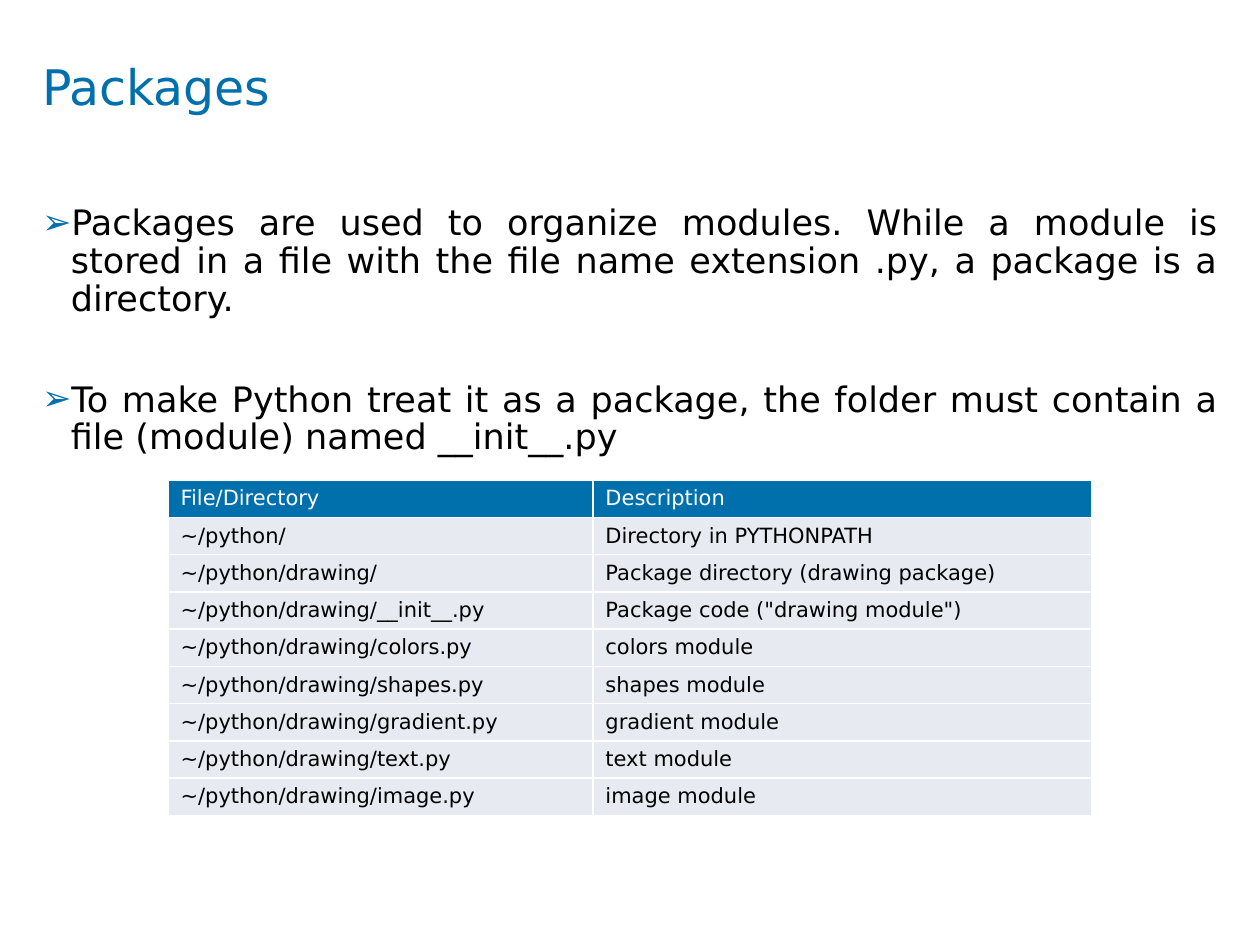
from lxml.etree import SubElement
from pptx import Presentation
from pptx.dml.color import RGBColor
from pptx.enum.text import MSO_ANCHOR as Anchor, MSO_AUTO_SIZE as AutoSize, PP_ALIGN as Align
from pptx.oxml.ns import qn
from pptx.util import Pt

BLUE = RGBColor(0x00, 0x70, 0xAD)
BLACK = RGBColor(0x00, 0x00, 0x00)
WHITE = RGBColor(0xFF, 0xFF, 0xFF)
PALE = RGBColor(0xE7, 0xEB, 0xF1)
FONT = "DejaVu Sans"

POINTS = [
    "Packages are used to organize modules. While a module is stored in a file "
    "with the file name extension .py, a package is a directory.",
    "To make Python treat it as a package, the folder must contain a file "
    "(module) named __init__.py",
]
FILES = [
    ("File/Directory", "Description"),
    ("~/python/", "Directory in PYTHONPATH"),
    ("~/python/drawing/", "Package directory (drawing package)"),
    ("~/python/drawing/__init__.py", 'Package code ("drawing module")'),
] + [
    (f"~/python/drawing/{name}.py", f"{name} module")
    for name in ("colors", "shapes", "gradient", "text", "image")
]


def apply(target, formats):
    """Set every attribute of the target from the format values."""
    for name, value in formats.items():
        setattr(target, name, value)


def write(para, text, size, color):
    """Add one formatted span to the paragraph."""
    span = para.add_run()
    span.text = text
    apply(span.font, {"name": FONT, "size": Pt(size), "bold": False})
    span.font.color.rgb = color


def place(holder, box):
    """Move a placeholder into its box and clear its insets."""
    left, top, width, height = map(Pt, box)
    apply(holder, {"left": left, "top": top, "width": width, "height": height})
    apply(holder.text_frame, {
        "margin_left": 0, "margin_top": 0, "margin_right": 0, "margin_bottom": 0,
        "word_wrap": True, "auto_size": AutoSize.NONE, "vertical_anchor": Anchor.TOP,
    })
    return holder.text_frame


def add_bullet(para, symbol, indent):
    """Give the paragraph a hanging coloured bullet."""
    props = para._p.get_or_add_pPr()
    props.set("marL", str(Pt(indent)))
    props.set("indent", str(-Pt(indent)))
    color = SubElement(props, qn("a:buClr"))
    SubElement(color, qn("a:srgbClr"), val=str(BLUE))
    SubElement(props, qn("a:buFont"), typeface=FONT)
    SubElement(props, qn("a:buChar"), char=symbol)


def fill_title(holder, box, text):
    """Write the slide title."""
    para = place(holder, box).paragraphs[0]
    para.alignment = Align.LEFT
    write(para, text, 28, BLUE)


def fill_points(holder, box, points):
    """Write the justified bullet list."""
    frame = place(holder, box)
    for index, text in enumerate(points):
        para = frame.add_paragraph() if index else frame.paragraphs[0]
        apply(para, {
            "alignment": Align.JUSTIFY, "line_spacing": 0.9,
            "space_before": Pt(36 if index else 0), "space_after": Pt(0),
        })
        add_bullet(para, "➢", 16.5)
        write(para, text, 20, BLACK)


def add_borders(cell, color, width):
    """Draw a solid line on all four sides of the cell."""
    props = cell._tc.get_or_add_tcPr()
    for index, side in enumerate(("lnL", "lnR", "lnT", "lnB")):
        line = props.makeelement(qn(f"a:{side}"), {"w": str(Pt(width))})
        fill = SubElement(line, qn("a:solidFill"))
        SubElement(fill, qn("a:srgbClr"), val=str(color))
        props.insert(index, line)


def add_file_table(page, box, rows, widths):
    """Build the table of files with a coloured header row."""
    table = page.shapes.add_table(len(rows), len(widths), *map(Pt, box)).table
    table.horz_banding = False
    for column, width in zip(table.columns, widths):
        column.width = Pt(width)
    for index, texts in enumerate(rows):
        table.rows[index].height = Pt(box[3] / len(rows))
        fill, color, anchor = (
            (PALE, BLACK, Anchor.TOP) if index else (BLUE, WHITE, Anchor.MIDDLE)
        )
        for cell, text in zip(table.rows[index].cells, texts):
            cell.fill.solid()
            cell.fill.fore_color.rgb = fill
            cell.vertical_anchor = anchor
            add_borders(cell, WHITE, 1)
            write(cell.text_frame.paragraphs[0], text, 12, color)


def main():
    """Build the slide and save it."""
    deck = Presentation()
    apply(deck, {"slide_width": Pt(720), "slide_height": Pt(540)})
    page = deck.slides.add_slide(deck.slide_layouts[1])
    fill_title(page.shapes.title, (24, 32.4, 672, 67.7), "Packages")
    fill_points(page.placeholders[1], (24, 117.4, 672, 365.8), POINTS)
    add_file_table(page, (96, 274.3, 528, 191.7), FILES, (242.8, 285.2))
    deck.save("out.pptx")


if __name__ == "__main__":
    main()
